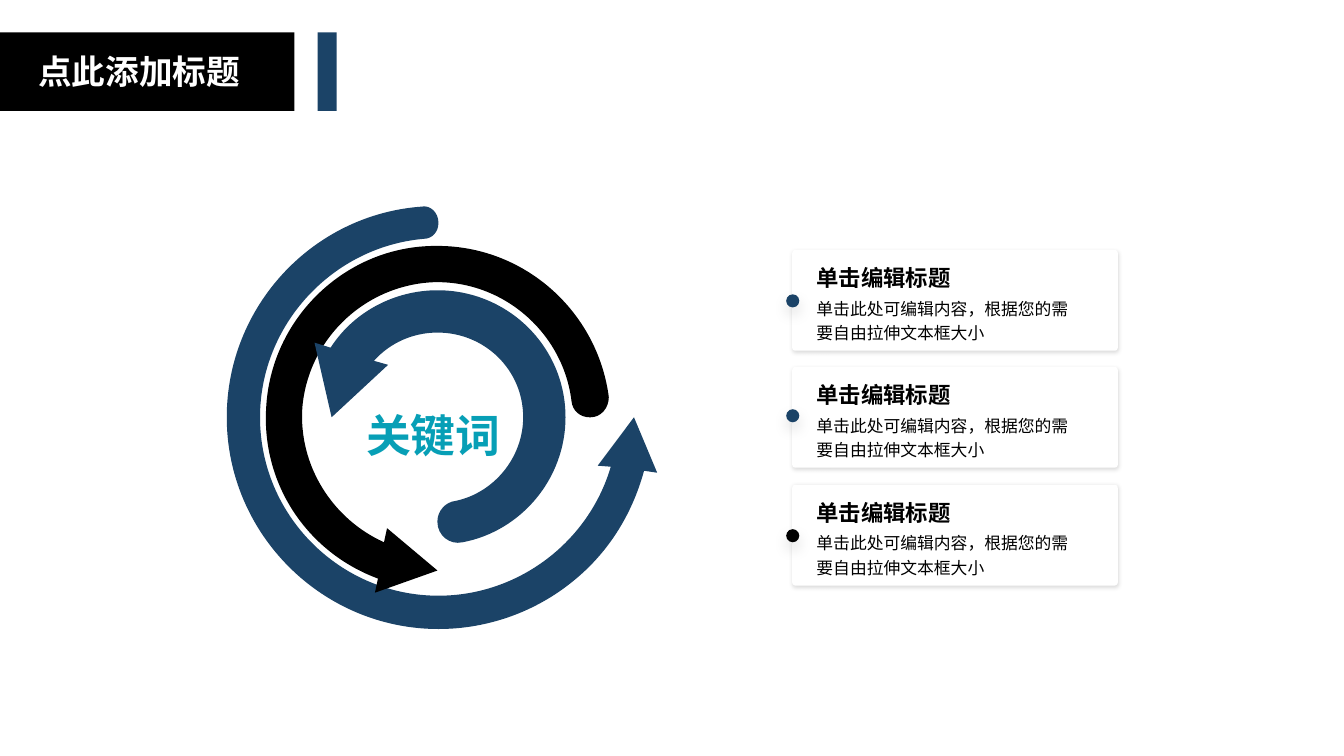
from dataclasses import dataclass

from lxml import etree
from pptx import Presentation
from pptx.dml.color import RGBColor
from pptx.enum.shapes import MSO_SHAPE
from pptx.enum.text import MSO_ANCHOR, PP_ALIGN
from pptx.oxml.ns import qn
from pptx.util import Emu, Pt

RECTANGLE = MSO_SHAPE.RECTANGLE
ROUNDED = MSO_SHAPE.ROUNDED_RECTANGLE
OVAL = MSO_SHAPE.OVAL
LEFT, CENTER = PP_ALIGN.LEFT, PP_ALIGN.CENTER
TOP, MIDDLE = MSO_ANCHOR.TOP, MSO_ANCHOR.MIDDLE

PX = 9144
LATIN_FONT = "Arial"
CHINESE_FONT = "Noto Sans CJK SC"
COLORS = {
    "navy": "1B4367",
    "black": "000000",
    "white": "FFFFFF",
    "teal": "079FB6",
}
HEADING = "单击编辑标题"
BODY = "单击此处可编辑内容，根据您的需要自由拉伸文本框大小"


@dataclass(frozen=True)
class Shadow:
    opacity: int
    blur: int
    distance: int


@dataclass(frozen=True)
class Arrow:
    color: str
    start: tuple
    segments: tuple


@dataclass(frozen=True)
class Card:
    top: int
    dot_top: int
    dot_color: str


@dataclass(frozen=True)
class Style:
    size: int
    color: str
    bold: bool = True
    align: PP_ALIGN = LEFT
    anchor: MSO_ANCHOR = TOP
    latin: str = LATIN_FONT
    spacing: float = 1.2


CARD_SHADOW = Shadow(15, 3, 1)
DOT_SHADOW = Shadow(12, 10, 5)
HEADING_STYLE = Style(16, "black")
BODY_STYLE = Style(12, "black", bold=False)
KEYWORD_STYLE = Style(32, "teal", align=CENTER)
TITLE_STYLE = Style(24, "white", True, CENTER, MIDDLE, CHINESE_FONT, 1.0)

CARDS = (
    Card(248, 292, "navy"),
    Card(364, 406, "navy"),
    Card(481, 525, "black"),
)

ARROWS = (
    Arrow("navy", (652, 469), (
        (629, 414), (593, 462), (606, 463),
        (584, 538, 514, 591, 435, 591),
        (338, 591, 258, 512, 258, 414),
        (258, 322, 330, 245, 420, 237),
        (429, 237, 435, 230, 435, 221),
        (435, 211, 427, 203, 418, 205),
        (310, 213, 225, 304, 225, 414),
        (225, 530, 320, 624, 435, 624),
        (484, 624, 531, 607, 568, 577),
        (603, 549, 627, 511, 639, 467),
    )),
    Arrow("black", (264, 406), (
        (260, 481, 305, 548, 375, 574),
        (372, 588), (434, 566), (384, 524), (381, 538),
        (330, 515, 296, 462, 300, 404),
        (306, 336, 362, 283, 430, 280),
        (500, 278, 559, 331, 567, 398),
        (568, 408, 576, 414, 585, 414),
        (586, 414),
        (596, 414, 604, 405, 604, 394),
        (593, 309, 520, 243, 432, 244),
        (343, 244, 268, 316, 264, 406),
    )),
    Arrow("navy", (434, 517), (
        (434, 518),
        (434, 531, 446, 541, 459, 538),
        (517, 527, 561, 475, 561, 414),
        (561, 344, 504, 288, 434, 288),
        (392, 288, 351, 309, 328, 345),
        (312, 340), (329, 414), (385, 362), (371, 358),
        (387, 340, 410, 330, 434, 330),
        (481, 330, 519, 367, 519, 414),
        (519, 454, 490, 489, 452, 497),
        (442, 498, 434, 507, 434, 517),
    )),
)


def px(length: float) -> Emu:
    return Emu(round(length * PX))


def paint(shape, color: str) -> None:
    shape.shadow.inherit = False
    shape.fill.solid()
    shape.fill.fore_color.rgb = RGBColor.from_string(COLORS[color])
    shape.line.fill.background()


def cast_shadow(shape, shadow: Shadow) -> None:
    effects = shape.element.spPr.find(qn("a:effectLst"))
    outer = etree.SubElement(
        effects, qn("a:outerShdw"), blurRad=str(Pt(shadow.blur)),
        dist=str(Pt(shadow.distance)), dir=str(90 * 60000), rotWithShape="0",
    )
    shade = etree.SubElement(outer, qn("a:srgbClr"), val=COLORS["black"])
    etree.SubElement(shade, qn("a:alpha"), val=str(shadow.opacity * 1000))


def add_preset(page, kind, left: int, top: int, width: int, height: int, color: str):
    shape = page.shapes.add_shape(kind, px(left), px(top), px(width), px(height))
    paint(shape, color)
    return shape


def add_arrow(page, arrow: Arrow) -> None:
    builder = page.shapes.build_freeform(px(arrow.start[0]), px(arrow.start[1]))
    ends = [(px(segment[-2]), px(segment[-1])) for segment in arrow.segments]
    builder.add_line_segments(ends, close=True)
    shape = builder.convert_to_shape()
    paint(shape, arrow.color)
    edges = list(shape.element.iter(qn("a:lnTo")))
    for edge, segment in zip(edges, arrow.segments):
        if len(segment) == 2:
            continue
        curve = etree.Element(qn("a:cubicBezTo"))
        for x, y in zip(segment[::2], segment[1::2]):
            etree.SubElement(curve, qn("a:pt"), x=str(px(x) - shape.left),
                             y=str(px(y) - shape.top))
        edge.getparent().replace(edge, curve)


def add_text(page, left: int, top: int, width: int, height: int,
             text: str, style: Style) -> None:
    box = page.shapes.add_textbox(px(left), px(top), px(width), px(height))
    frame = box.text_frame
    frame.word_wrap = True
    frame.vertical_anchor = style.anchor
    frame.margin_left = frame.margin_right = 0
    frame.margin_top = frame.margin_bottom = 0
    para = frame.paragraphs[0]
    para.alignment = style.align
    para.line_spacing = style.spacing
    span = para.add_run()
    span.text = text
    span.font.size = Pt(style.size)
    span.font.bold = style.bold
    span.font.name = style.latin
    span.font.color.rgb = RGBColor.from_string(COLORS[style.color])
    etree.SubElement(span.font._element, qn("a:ea"), typeface=CHINESE_FONT)


def add_card(page, card: Card) -> None:
    panel = add_preset(page, ROUNDED, 786, card.top, 323, 100, "white")
    panel.adjustments[0] = 0.03
    cast_shadow(panel, CARD_SHADOW)
    dot = add_preset(page, OVAL, 780, card.dot_top, 13, 13, card.dot_color)
    cast_shadow(dot, DOT_SHADOW)
    add_text(page, 810, card.top + 9, 142, 32, HEADING, HEADING_STYLE)
    add_text(page, 810, card.top + 44, 255, 48, BODY, BODY_STYLE)


def main() -> None:
    deck = Presentation()
    deck.slide_width, deck.slide_height = px(4000 / 3), px(750)
    page = deck.slides.add_slide(deck.slide_layouts[6])
    for arrow in ARROWS:
        add_arrow(page, arrow)
    for card in CARDS:
        add_card(page, card)
    add_text(page, 355, 394, 150, 59, "关键词", KEYWORD_STYLE)
    add_preset(page, RECTANGLE, 0, 32, 292, 78, "black")
    add_preset(page, RECTANGLE, 315, 32, 19, 78, "navy")
    add_text(page, 0, 46, 276, 50, "点此添加标题", TITLE_STYLE)
    deck.save("out.pptx")


if __name__ == "__main__":
    main()
